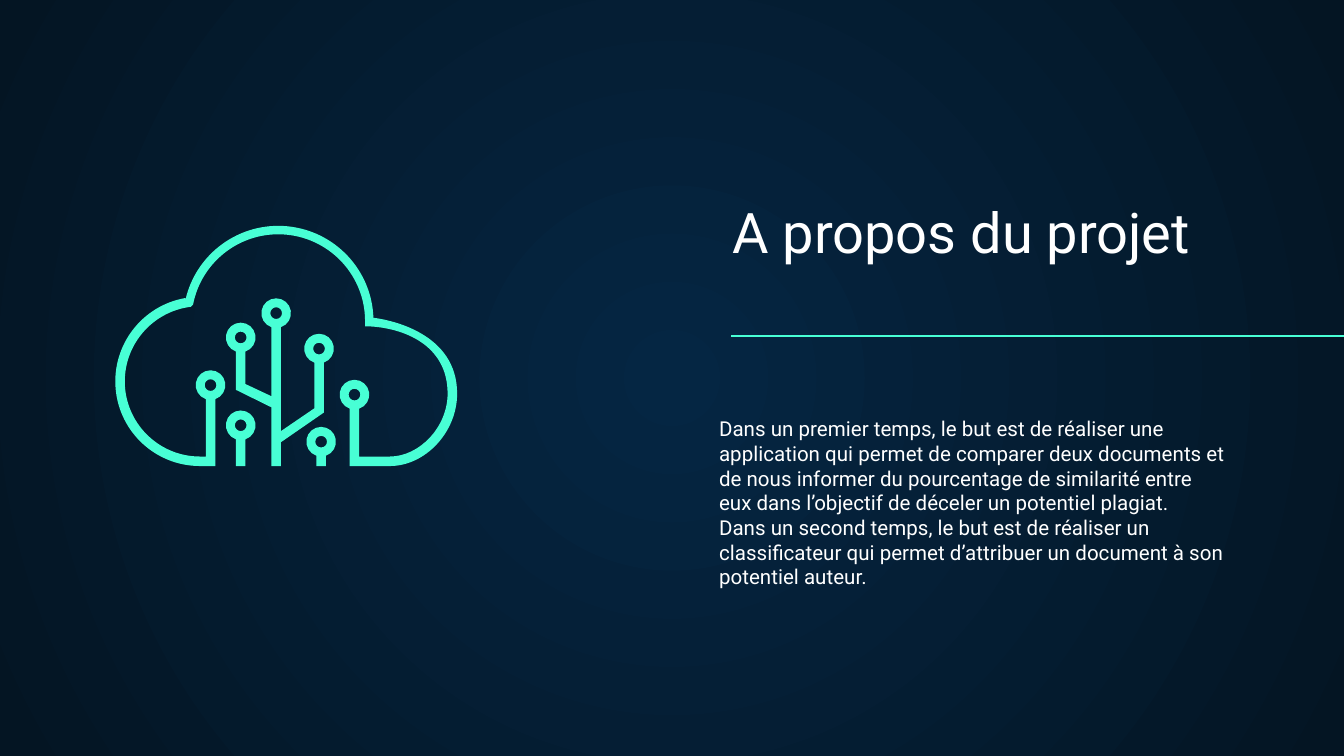
"""Build the project introduction slide with its cloud circuit icon."""
import dataclasses
import itertools
import math
import typing

import lxml.etree
import pptx
import pptx.dml.color
import pptx.enum.shapes
import pptx.enum.text
import pptx.oxml.ns
import pptx.util

Cm = pptx.util.Cm
qn = pptx.oxml.ns.qn
Point = tuple[float, float]
Segment = tuple[Point, ...]

WHITE = pptx.dml.color.RGBColor(0xFF, 0xFF, 0xFF)
MINT = pptx.dml.color.RGBColor(0x48, 0xFF, 0xD5)
NAVY = pptx.dml.color.RGBColor(0x05, 0x26, 0x43)
MIDNIGHT = pptx.dml.color.RGBColor(0x04, 0x15, 0x23)

FONT = "Roboto"
SLIDE_WIDTH, SLIDE_HEIGHT = 25.4, 14.29
NODE_RADIUS, HOLE_RADIUS, HALF_STEM = 0.28, 0.11, 0.09
BASE, INNER_BASE = 8.81, 8.63


@dataclasses.dataclass(frozen=True)
class IconPart:
    outline: list[Segment]
    nodes: list[Point]


def corners(*points: Point) -> list[Segment]:
    return [(point,) for point in points]


def arc(center: Point, radius: float, start: float, end: float) -> list[Segment]:
    count = math.ceil(abs(end - start) / 90)
    step = math.radians(end - start) / count
    handle = 4 / 3 * math.tan(step / 4)

    def at(angle: float, pull: float = 0) -> Point:
        return (center[0] + radius * (math.cos(angle) - pull * math.sin(angle)),
                center[1] + radius * (math.sin(angle) + pull * math.cos(angle)))

    angles = [math.radians(start) + step * i for i in range(count + 1)]
    bends = [(at(a, handle), at(b, -handle), at(b)) for a, b in itertools.pairwise(angles)]
    return [(at(angles[0]),), *bends]


def ring(center: Point) -> list[Segment]:
    opening = math.degrees(math.asin(HALF_STEM / NODE_RADIUS))
    return arc(center, NODE_RADIUS, 90 + opening, 450 - opening)


def sprout(node: Point) -> IconPart:
    stem = corners((node[0] + HALF_STEM, BASE), (node[0] - HALF_STEM, BASE))
    return IconPart(ring(node) + stem, [node])


def circuit_tree() -> IconPart:
    left, middle, right = nodes = [(4.55, 6.38), (5.22, 5.92), (6.03, 6.59)]
    outline = [
        *corners((5.13, BASE), (5.13, 7.7), (4.46, 7.37)), *ring(left),
        *corners((4.64, 7.26), (5.13, 7.49)), *ring(middle),
        *corners((5.31, 8.15), (5.94, 7.72)), *ring(right),
        *corners((6.12, 7.8), (5.31, 8.36), (5.31, BASE)),
    ]
    return IconPart(outline, nodes)


def cloud() -> IconPart:
    left, right = nodes = [(3.98, 7.28), (6.7, 7.46)]
    left_lobe, top_lobe = (3.78, 7.21), (5.26, 6.07)
    outline = [
        *arc(left_lobe, 1.6, 90, 260),
        *arc(top_lobe, 1.8, 193, 358),
        ((7.39, 6.05), (8.64, 6.3), (8.64, 7.44)),
        ((8.64, 8.18), (8.03, BASE), (7.37, BASE)),
        *corners((right[0] - HALF_STEM, BASE)), *ring(right),
        *corners((right[0] + HALF_STEM, INNER_BASE), (7.37, INNER_BASE)),
        ((7.92, INNER_BASE), (8.46, 8.08), (8.46, 7.44)),
        ((8.46, 6.5), (7.6, 6.2), (6.98, 6.17)),
        *corners((6.9, 6.17)), *arc(top_lobe, 1.64, 360, 191),
        *arc(left_lobe, 1.42, 263, 90),
        *corners((left[0] - HALF_STEM, INNER_BASE)), *ring(left),
        *corners((left[0] + HALF_STEM, BASE)),
    ]
    return IconPart(outline, nodes)


def bend(freeform: typing.Any, segments: list[Segment]) -> None:
    lines = iter(list(freeform.element.iter(qn("a:lnTo"))))
    for segment in segments:
        first, *rest = itertools.islice(lines, len(segment))
        if rest:
            first.tag = qn("a:cubicBezTo")
        for line in rest:
            first.append(line[0])
            line.getparent().remove(line)


def draw_part(shapes: typing.Any, part: IconPart) -> typing.Any:
    contours = [part.outline, *(arc(node, HOLE_RADIUS, 360, 0) for node in part.nodes)]
    builder = None
    for (start,), *segments in contours:
        origin = Cm(start[0]), Cm(start[1])
        if builder is None:
            builder = shapes.build_freeform(*origin, scale=1.0)
        else:
            builder.move_to(*origin)
        points = itertools.chain.from_iterable(segments)
        builder.add_line_segments([(Cm(x), Cm(y)) for x, y in points], close=True)
    drawn = builder.convert_to_shape()
    bend(drawn, [segment for contour in contours for segment in contour[1:]])
    drawn.shadow.inherit = False
    drawn.fill.solid()
    drawn.fill.fore_color.rgb = MINT
    drawn.line.fill.background()
    return drawn


def write(holder: typing.Any, text: str, *, box: tuple[float, ...], size: float,
          side_inset: float, anchor: pptx.enum.text.MSO_ANCHOR) -> None:
    holder.left, holder.top, holder.width, holder.height = map(Cm, box)
    frame = holder.text_frame
    frame.text = text
    frame.word_wrap = True
    frame.auto_size = pptx.enum.text.MSO_AUTO_SIZE.NONE
    frame.vertical_anchor = anchor
    frame.margin_left = frame.margin_right = Cm(side_inset)
    frame.margin_top = frame.margin_bottom = Cm(0.25)
    for paragraph in frame.paragraphs:
        paragraph.alignment = pptx.enum.text.PP_ALIGN.LEFT
        paragraph.space_before = pptx.util.Pt(0)
        for run in paragraph.runs:
            run.font.name = FONT
            run.font.size = pptx.util.Pt(size)
            run.font.color.rgb = WHITE


def paint_background(slide: typing.Any) -> None:
    fill = slide.background.fill
    fill.gradient()
    for stop, color in zip(fill.gradient_stops, (NAVY, MIDNIGHT)):
        stop.color.rgb = color
    linear = next(slide.element.iter(qn("a:lin")))
    gradient = linear.getparent()
    gradient.remove(linear)
    radial = lxml.etree.SubElement(gradient, qn("a:path"), {"path": "circle"})
    lxml.etree.SubElement(radial, qn("a:fillToRect"), {side: "50000" for side in "ltrb"})


def draw_divider(shapes: typing.Any, left: float, right: float, y: float) -> None:
    divider = shapes.add_connector(
        pptx.enum.shapes.MSO_CONNECTOR.STRAIGHT, Cm(left), Cm(y), Cm(right), Cm(y))
    divider.line.color.rgb = MINT
    divider.line.width = pptx.util.Pt(0.75)
    lxml.etree.SubElement(divider.element.spPr, qn("a:effectLst"))


def main() -> None:
    deck = pptx.Presentation()
    deck.slide_width, deck.slide_height = Cm(SLIDE_WIDTH), Cm(SLIDE_HEIGHT)
    slide = deck.slides.add_slide(deck.slide_layouts[0])
    paint_background(slide)
    write(slide.shapes.title, "A propos du projet", box=(13.59, 3.58, 9.8, 1.68),
          size=30, side_inset=0.25, anchor=pptx.enum.text.MSO_ANCHOR.BOTTOM)
    write(slide.placeholders[1],
          "Dans un premier temps, le but est de réaliser une application qui permet de comparer "
          "deux documents et de nous informer du pourcentage de similarité entre eux dans "
          "l’objectif de déceler un potentiel plagiat.\n"
          "Dans un second temps, le but est de réaliser un classificateur qui permet "
          "d’attribuer un document à son potentiel auteur.",
          box=(13.59, 7.62, 9.6, 3.94), size=11, side_inset=0,
          anchor=pptx.enum.text.MSO_ANCHOR.TOP)
    draw_divider(slide.shapes, 13.82, SLIDE_WIDTH, 6.35)
    icon = [circuit_tree(), cloud(), sprout((4.55, 8.04)), sprout((6.07, 8.35))]
    slide.shapes.add_group_shape([draw_part(slide.shapes, part) for part in icon])
    deck.save("out.pptx")


if __name__ == "__main__":
    main()
